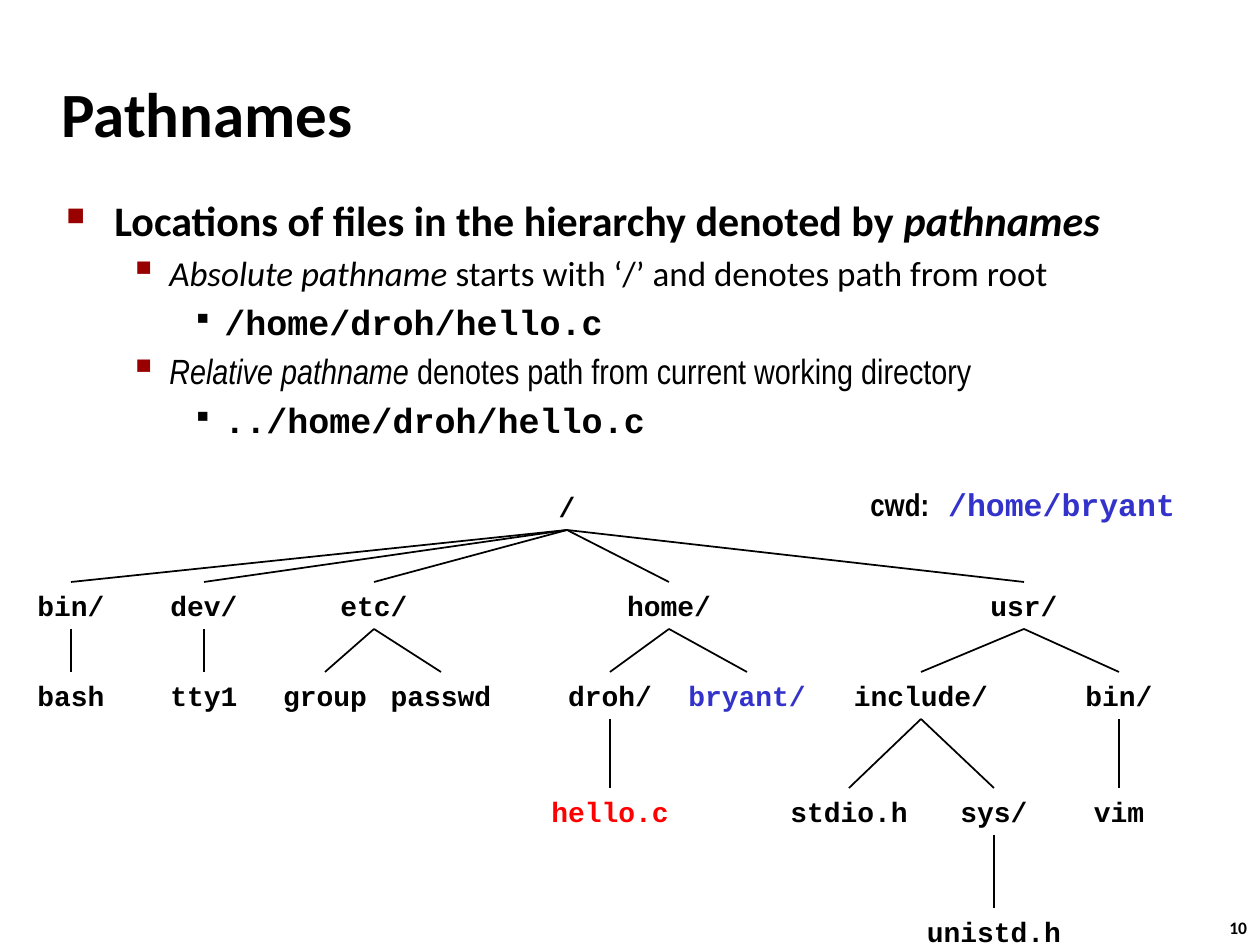
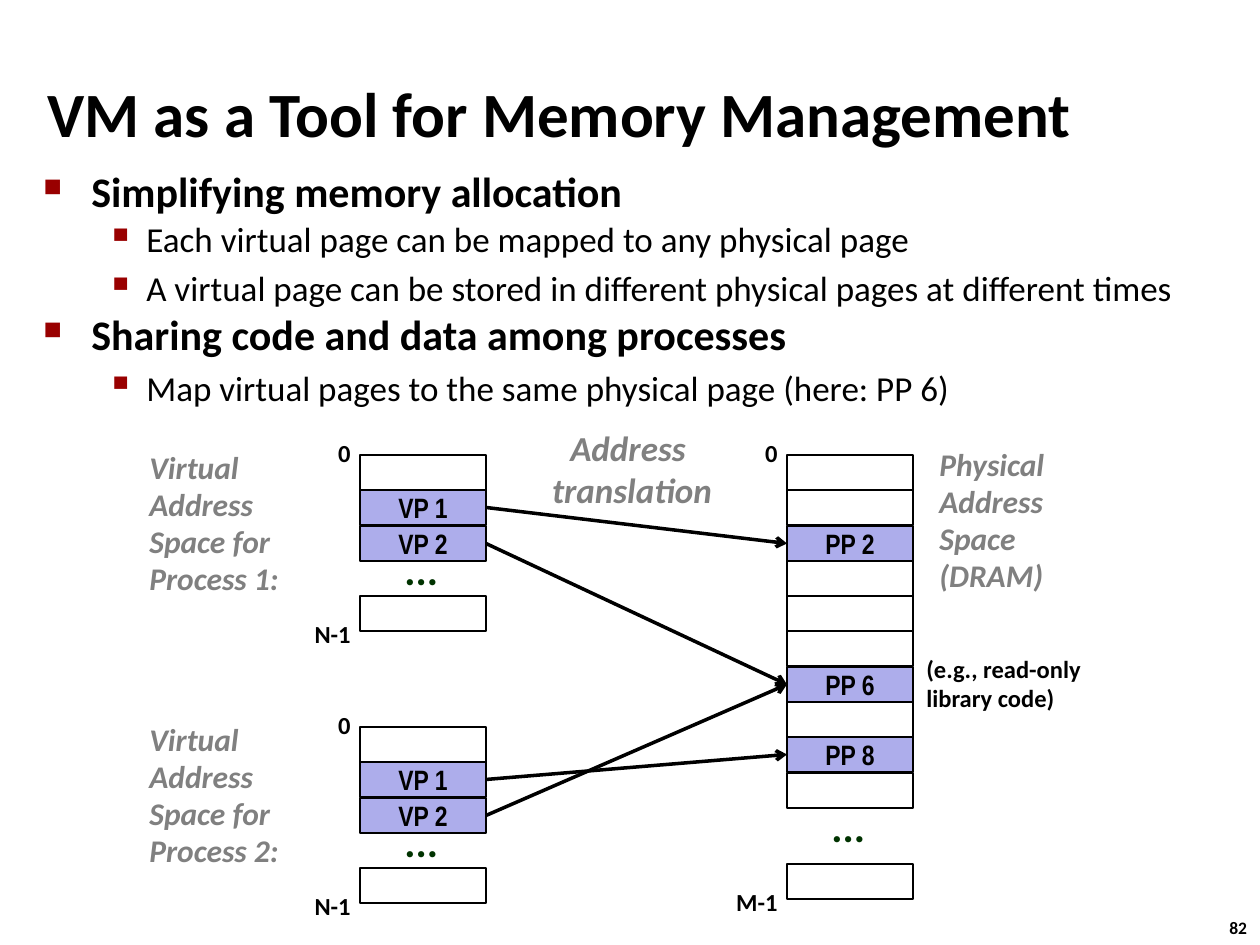
import lxml.etree
import pptx
import pptx.dml.color
import pptx.enum.shapes
import pptx.enum.text
import pptx.oxml.ns
import pptx.util

EMU_PER_PX = 914400 / 126
BLACK, GRAY, BLUE, RED = "000000", "808080", "3333CC", "FF0000"
MAROON, GREEN, LILAC = "990000", "003300", "ADADEB"
ALIGN = pptx.enum.text.PP_ALIGN
ANCHOR = pptx.enum.text.MSO_ANCHOR

TITLE = {"name": "Calibri", "size": 36, "bold": True, "color": BLACK}
HEADING = {**TITLE, "size": 24}
POINT = {**TITLE, "size": 20, "bold": False}
NARROW = {**POINT, "name": "Arial Narrow"}
CODE = {**POINT, "name": "Courier New", "bold": True}
NODE = {**CODE, "size": 16}
CELL = {**TITLE, "name": "Arial Narrow", "size": 16}
NUMBER = {**TITLE, "size": 10}
NOTE = {**TITLE, "size": 14}
SPACE_NAME = {**TITLE, "size": 18, "italic": True, "color": GRAY}
CAPTION = {**SPACE_NAME, "size": 20}
DOTS = {**HEADING, "color": GREEN}

BULLETS = [
    {"margin": 48, "hang": 48, "char": "■", "percent": 60, "color": MAROON},
    {"margin": 103, "hang": 40, "char": "▪", "percent": 110, "color": MAROON},
    {"margin": 158, "hang": 32, "char": "▪", "percent": 80, "color": BLACK},
]

NODE_TOPS = [483, 582, 672, 788, 908]
NODE_HEIGHT = 47
TREE = [
    ("/", 567, 0, None, BLACK),
    ("bin/", 71, 1, 0, BLACK),
    ("dev/", 204, 1, 0, BLACK),
    ("etc/", 374, 1, 0, BLACK),
    ("home/", 669, 1, 0, BLACK),
    ("usr/", 1024, 1, 0, BLACK),
    ("bash", 71, 2, 1, BLACK),
    ("tty1", 204, 2, 2, BLACK),
    ("group", 325, 2, 3, BLACK),
    ("passwd", 441, 2, 3, BLACK),
    ("droh/", 610, 2, 4, BLACK),
    ("bryant/", 747, 2, 4, BLUE),
    ("include/", 921, 2, 5, BLACK),
    ("bin/", 1119, 2, 5, BLACK),
    ("hello.c", 610, 3, 10, RED),
    ("stdio.h", 849, 3, 12, BLACK),
    ("sys/", 994, 3, 12, BLACK),
    ("vim", 1119, 3, 13, BLACK),
    ("unistd.h", 994, 4, 16, BLACK),
]

CELL_WIDTH, CELL_PITCH = 126, 35.3


def px(length):
    return pptx.util.Emu(round(length * EMU_PER_PX))


def color(value):
    return pptx.dml.color.RGBColor.from_string(value)


def write(para, spans):
    for text, look in spans:
        span = para.add_run()
        span.text = text
        for key, value in look.items():
            if key == "color":
                span.font.color.rgb = color(value)
            else:
                setattr(span.font, key, pptx.util.Pt(value) if key == "size" else value)


def set_bullet(para, bullet):
    tag = pptx.oxml.ns.qn
    properties = para._p.get_or_add_pPr()
    properties.set("marL", str(px(bullet["margin"])))
    properties.set("indent", str(-px(bullet["hang"])))
    paint = lxml.etree.SubElement(properties, tag("a:buClr"))
    lxml.etree.SubElement(paint, tag("a:srgbClr"), val=bullet["color"])
    lxml.etree.SubElement(properties, tag("a:buSzPct"), val=str(bullet["percent"] * 1000))
    lxml.etree.SubElement(properties, tag("a:buChar"), char=bullet["char"])


def add_text(page, box, paragraphs, wrap=True, anchor=ANCHOR.TOP, **layout):
    shape = page.shapes.add_textbox(*map(px, box))
    frame = shape.text_frame
    frame.word_wrap = wrap
    frame.vertical_anchor = anchor
    for index, spans in enumerate(paragraphs):
        para = frame.add_paragraph() if index else frame.paragraphs[0]
        for key, value in layout.items():
            setattr(para, key, value)
        write(para, spans)
    return shape


def add_line(page, start, end, width, arrow=False):
    line = page.shapes.add_connector(pptx.enum.shapes.MSO_CONNECTOR.STRAIGHT, 0, 0, 0, 0)
    line.begin_connect(*start)
    line.end_connect(*end)
    line.line.color.rgb = color(BLACK)
    line.line.width = pptx.util.Pt(width)
    tag = pptx.oxml.ns.qn
    if arrow:
        lxml.etree.SubElement(line.line._get_or_add_ln(), tag("a:tailEnd"), type="arrow")
    lxml.etree.SubElement(line._element.spPr, tag("a:effectLst"))


def add_page(deck, title, title_box, number):
    page = deck.slides.add_slide(deck.slide_layouts[6])
    add_text(page, title_box, [[(title, TITLE)]], anchor=ANCHOR.MIDDLE)
    add_text(page, (1217, 911, 47, 34), [[(number, NUMBER)]], wrap=False)
    return page


def add_outline(page, box, items):
    frame = page.shapes.add_textbox(*map(px, box)).text_frame
    frame.word_wrap = True
    for index, (level, line_spacing, spans) in enumerate(items):
        para = frame.add_paragraph() if index else frame.paragraphs[0]
        para.level = level
        set_bullet(para, BULLETS[level])
        para.line_spacing = line_spacing
        if index:
            para.space_before = pptx.util.Pt(spans[0][1]["size"] * 0.2)
        write(para, spans)


def add_tree(page):
    nodes = []
    for name, center, level, parent, ink in TREE:
        width = 17 * len(name) + 30
        box = (center - width / 2, NODE_TOPS[level], width, NODE_HEIGHT)
        nodes.append(add_text(page, box, [[(name, {**NODE, "color": ink})]],
                              wrap=False, alignment=ALIGN.CENTER))
        if parent is not None:
            add_line(page, (nodes[parent], 2), (nodes[-1], 0), 1)


def add_cell(page, box, label):
    cell = page.shapes.add_shape(pptx.enum.shapes.MSO_SHAPE.RECTANGLE, *map(px, box))
    cell.shadow.inherit = False
    cell.line.color.rgb = color(BLACK)
    cell.line.width = pptx.util.Pt(1)
    if label:
        cell.fill.solid()
        cell.fill.fore_color.rgb = color(LILAC)
        cell.text_frame.vertical_anchor = ANCHOR.MIDDLE
        para = cell.text_frame.paragraphs[0]
        para.alignment = ALIGN.CENTER
        write(para, [(label, CELL)])
    else:
        cell.fill.background()
    return cell


def add_memory(page, left, top, slots, labels, last_address):
    cells = {}
    for slot in slots:
        box = (left, top + round(slot * CELL_PITCH), CELL_WIDTH, 35)
        cells[slot] = add_cell(page, box, labels.get(slot))
    before_gap, last = slots[-2:]
    gap_middle = top + round((before_gap + 1 + last) / 2 * CELL_PITCH)
    add_text(page, (left + 32, gap_middle - 35, 59, 57), [[("...", DOTS)]],
             wrap=False, line_spacing=0.88)
    last_top = top + round(last * CELL_PITCH)
    for address, address_top in (("0", top - 22), (last_address, last_top + 18)):
        add_text(page, (left - 67, address_top, 70, 42), [[(address, NOTE)]],
                 alignment=ALIGN.RIGHT, line_spacing=0.98)
    return cells


def add_process(page, left, top, number):
    name = f"Virtual Address Space for Process {number}:"
    add_text(page, (left, top - 11, 189, 161), [[(name, SPACE_NAME)]], line_spacing=0.98)
    return add_memory(page, left + 223, top, [0, 1, 2, 4], {1: "VP 1", 2: "VP 2"}, "N-1")


def add_physical(page, left, top):
    name = [[(line, SPACE_NAME)] for line in ("Physical", "Address", "Space (DRAM)")]
    add_text(page, (left + 140, top - 14, 147, 163), name, line_spacing=0.98)
    note = [[(line, NOTE)] for line in ("(e.g., read-only", "library code)")]
    add_text(page, (left + 127, top + 194, 200, 71), note, line_spacing=0.98)
    return add_memory(page, left, top, [*range(10), 11.6],
                      {2: "PP 2", 6: "PP 6", 8: "PP 8"}, "M-1")


def build_pathnames(deck):
    page = add_page(deck, "Pathnames", (49, 60, 1046, 105), "10")
    add_outline(page, (54, 188, 1174, 263), [
        (0, 1.0, [("Locations of files in the hierarchy denoted by ", HEADING),
                  ("pathnames", {**HEADING, "italic": True})]),
        (1, 1.0, [("Absolute pathname ", {**POINT, "italic": True}),
                  ("starts with ‘/’ and denotes path from root", POINT)]),
        (2, 1.0, [("/home/droh/hello.c", CODE)]),
        (1, 1.0, [("Relative pathname ", {**NARROW, "italic": True}),
                  ("denotes path from current working directory", NARROW)]),
        (2, 1.0, [("../home/droh/hello.c", CODE)]),
    ])
    add_tree(page)
    add_text(page, (858, 479, 336, 50), [[
        ("cwd:", {**CELL, "size": 18}),
        (" /home/bryant", {**CODE, "size": 18, "color": BLUE}),
    ]], wrap=False)


def build_memory_management(deck):
    page = add_page(deck, "VM as a Tool for Memory Management", (35, 73, 1187, 79), "82")
    add_outline(page, (31, 168, 1207, 262), [
        (0, 0.83, [("Simplifying memory allocation", HEADING)]),
        (1, 0.88, [("Each virtual page can be mapped to any physical page", POINT)]),
        (1, 1.0, [("A virtual page can be stored in different physical pages "
                   "at different times", POINT)]),
        (0, 0.83, [("Sharing code and data among processes", HEADING)]),
        (1, 1.0, [("Map virtual pages to the same physical page (here: PP 6)", POINT)]),
    ])
    first = add_process(page, 137, 455, 1)
    second = add_process(page, 137, 727, 2)
    physical = add_physical(page, 787, 455)
    mappings = [(first[1], 2), (first[2], 6), (second[2], 6), (second[1], 8)]
    for virtual_cell, slot in mappings:
        add_line(page, (virtual_cell, 3), (physical[slot], 1), 2, arrow=True)
    add_text(page, (539, 420, 186, 97), [[("Address ", CAPTION)], [("translation", CAPTION)]],
             wrap=False, alignment=ALIGN.CENTER)


def main():
    deck = pptx.Presentation()
    deck.slide_width, deck.slide_height = px(1260), px(945)
    build_pathnames(deck)
    build_memory_management(deck)
    deck.save("out.pptx")


if __name__ == "__main__":
    main()
